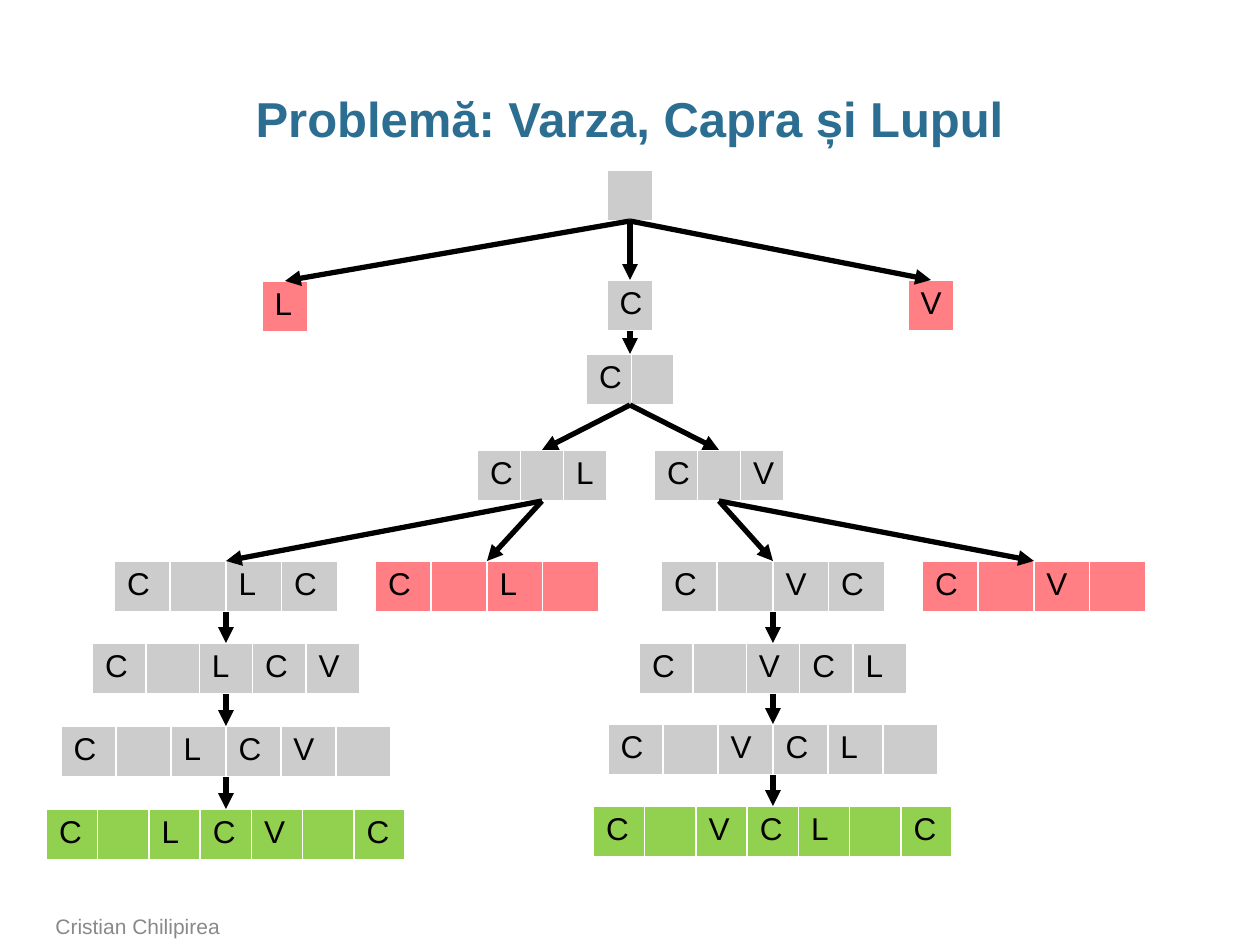
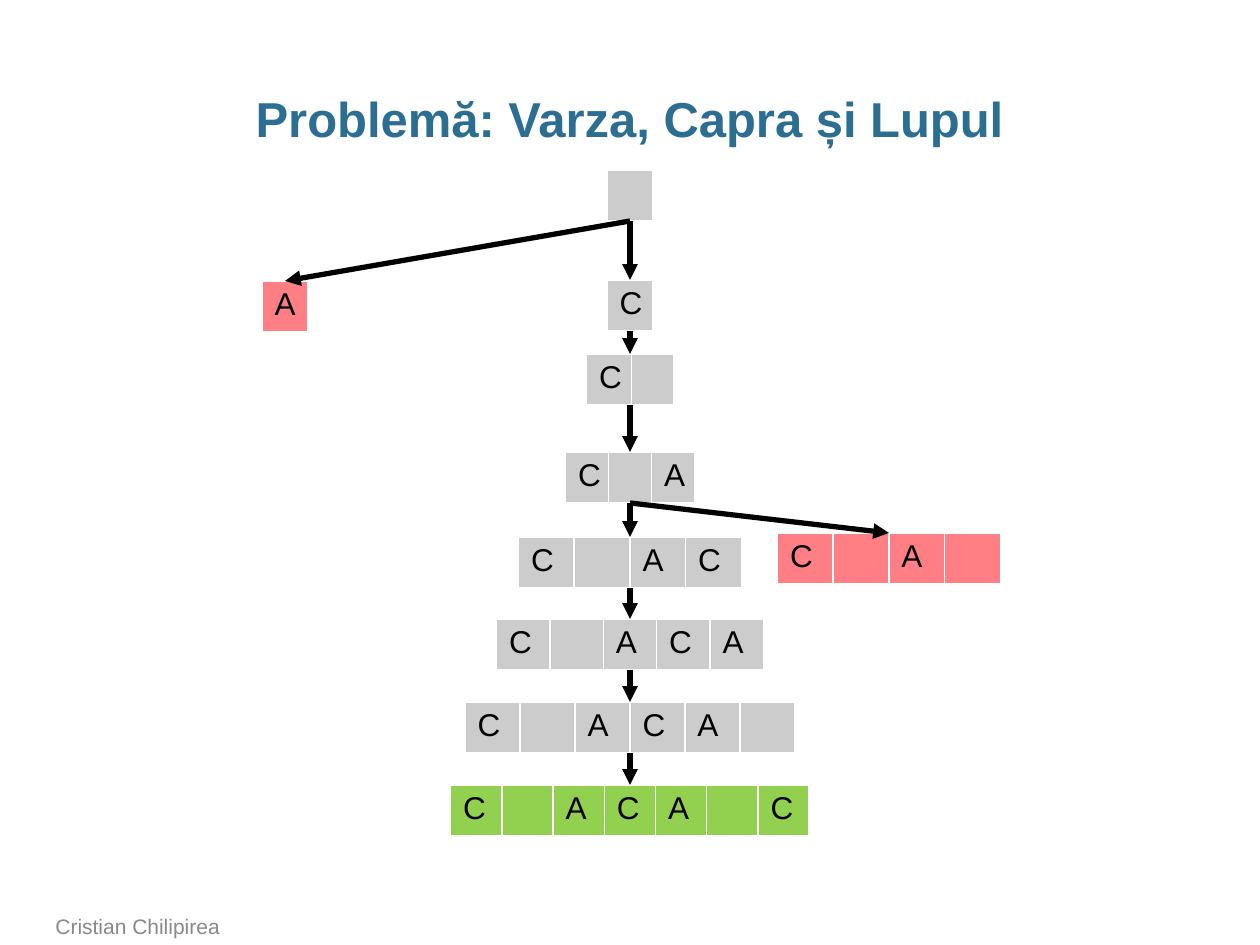
from lxml import etree
from pptx import Presentation
from pptx import util as u
from pptx.dml.color import RGBColor
from pptx.enum import shapes, text
from pptx.oxml import ns

BLUE = RGBColor(0x2C, 0x6D, 0x92)
BLACK = RGBColor(0x00, 0x00, 0x00)
FOOTER_GRAY = RGBColor(0x89, 0x89, 0x89)
WHITE = RGBColor(0xFF, 0xFF, 0xFF)
OPEN = RGBColor(0xCC, 0xCC, 0xCC)
INVALID = RGBColor(0xFF, 0x7F, 0x85)
SOLVED = RGBColor(0x92, 0xD0, 0x50)

FONT = "Arial"
PX_PER_INCH = 126
STATE_HEIGHT = 51
MIDDLE = 630
ROW_WIDTHS = {1: 46, 3: 129, 4: 223, 5: 267, 6: 330, 7: 359}
COLUMN_WIDTHS = {2: (45, 42)}
COLUMN_WIDTHS.update({count: (width / count,) * count for count, width in ROW_WIDTHS.items()})


def px(length):
    return u.Emu(round(length * 914400 / PX_PER_INCH))


def style_font(para, size, color, bold=False):
    para.font.name = FONT
    para.font.size = u.Pt(size)
    para.font.color.rgb = color
    para.font.bold = bold


def add_page(deck):
    page = deck.slides.add_slide(deck.slide_layouts[5])
    title = page.shapes.title
    title.left, title.top, title.width, title.height = map(px, (43, 86, 1173, 63))
    frame = title.text_frame
    frame.auto_size = text.MSO_AUTO_SIZE.NONE
    frame.vertical_anchor = text.MSO_ANCHOR.TOP
    frame.margin_left = frame.margin_right = 0
    frame.text = "Problemă: Varza, Capra și Lupul"
    para = frame.paragraphs[0]
    para.alignment = text.PP_ALIGN.CENTER
    para.line_spacing = 0.95
    style_font(para, 28, BLUE, bold=True)

    footer = page.shapes.add_textbox(*map(px, (43, 910, 929, 35))).text_frame
    footer.word_wrap = True
    footer.vertical_anchor = text.MSO_ANCHOR.BOTTOM
    footer.text = "Cristian Chilipirea"
    style_font(footer.paragraphs[0], 12, FOOTER_GRAY)
    return page


def add_cell_borders(cell):
    properties = cell._tc.get_or_add_tcPr()
    for side in ("a:lnL", "a:lnR", "a:lnT", "a:lnB"):
        line = etree.SubElement(properties, ns.qn(side), w=str(u.Pt(1)))
        fill = etree.SubElement(line, ns.qn("a:solidFill"))
        etree.SubElement(fill, ns.qn("a:srgbClr"), val=str(WHITE))


def add_arrow(page, start, end):
    points = map(px, (*start, *end))
    arrow = page.shapes.add_connector(shapes.MSO_CONNECTOR.STRAIGHT, *points)
    arrow.line.color.rgb = BLACK
    arrow.line.width = u.Pt(3)
    etree.SubElement(arrow.line._get_or_add_ln(), ns.qn("a:tailEnd"), type="triangle")
    etree.SubElement(arrow._element.spPr, ns.qn("a:effectLst"))


def add_state(page, moves, center, top, parent=None, fill=OPEN):
    widths = COLUMN_WIDTHS[len(moves)]
    total = sum(widths)
    table = page.shapes.add_table(
        1, len(moves), px(center - total / 2), px(top), px(total), px(STATE_HEIGHT)
    ).table
    table.first_row = table.horz_banding = False
    for column, cell, width, passenger in zip(table.columns, table.iter_cells(), widths, moves):
        column.width = px(width)
        add_cell_borders(cell)
        cell.fill.solid()
        cell.fill.fore_color.rgb = fill
        cell.text = passenger.strip()
        style_font(cell.text_frame.paragraphs[0], 18, BLACK)
    if parent:
        add_arrow(page, parent, (center, top))
    return center, top + STATE_HEIGHT


def add_opening(page):
    start = add_state(page, " ", MIDDLE, 170)
    goat_over = add_state(page, "C", MIDDLE, 280, start)
    return start, add_state(page, "C ", MIDDLE, 354, goat_over)


def add_solution(page, solution, center, tops, parent):
    for count, top in enumerate(tops, 4):
        fill = SOLVED if count == len(solution) else OPEN
        parent = add_state(page, solution[:count], center, top, parent, fill)


def add_full_tree(deck):
    page = add_page(deck)
    start, returned = add_opening(page)
    add_state(page, "L", 285, 281, start, INVALID)
    add_state(page, "V", 931, 280, start, INVALID)
    branches = (
        ("C LCV C", 542, 226, 487, (561, 643, 726, 809)),
        ("C VCL C", 719, 773, 1034, (561, 643, 724, 806)),
    )
    for solution, center, solution_center, invalid_center, tops in branches:
        second = add_state(page, solution[:3], center, 450, returned)
        add_solution(page, solution, solution_center, tops, second)
        add_state(page, solution[:3] + " ", invalid_center, tops[0], second, INVALID)


def add_merged_tree(deck):
    page = add_page(deck)
    start, returned = add_opening(page)
    add_state(page, "A", 285, 281, start, INVALID)
    second = add_state(page, "C A", MIDDLE, 452, returned)
    add_solution(page, "C ACA C", MIDDLE, (537, 619, 702, 785), second)
    add_state(page, "C A ", 889, 533, second, INVALID)


def main():
    deck = Presentation()
    deck.slide_width, deck.slide_height = px(1260), px(945)
    add_full_tree(deck)
    add_merged_tree(deck)
    deck.save("out.pptx")


if __name__ == "__main__":
    main()
